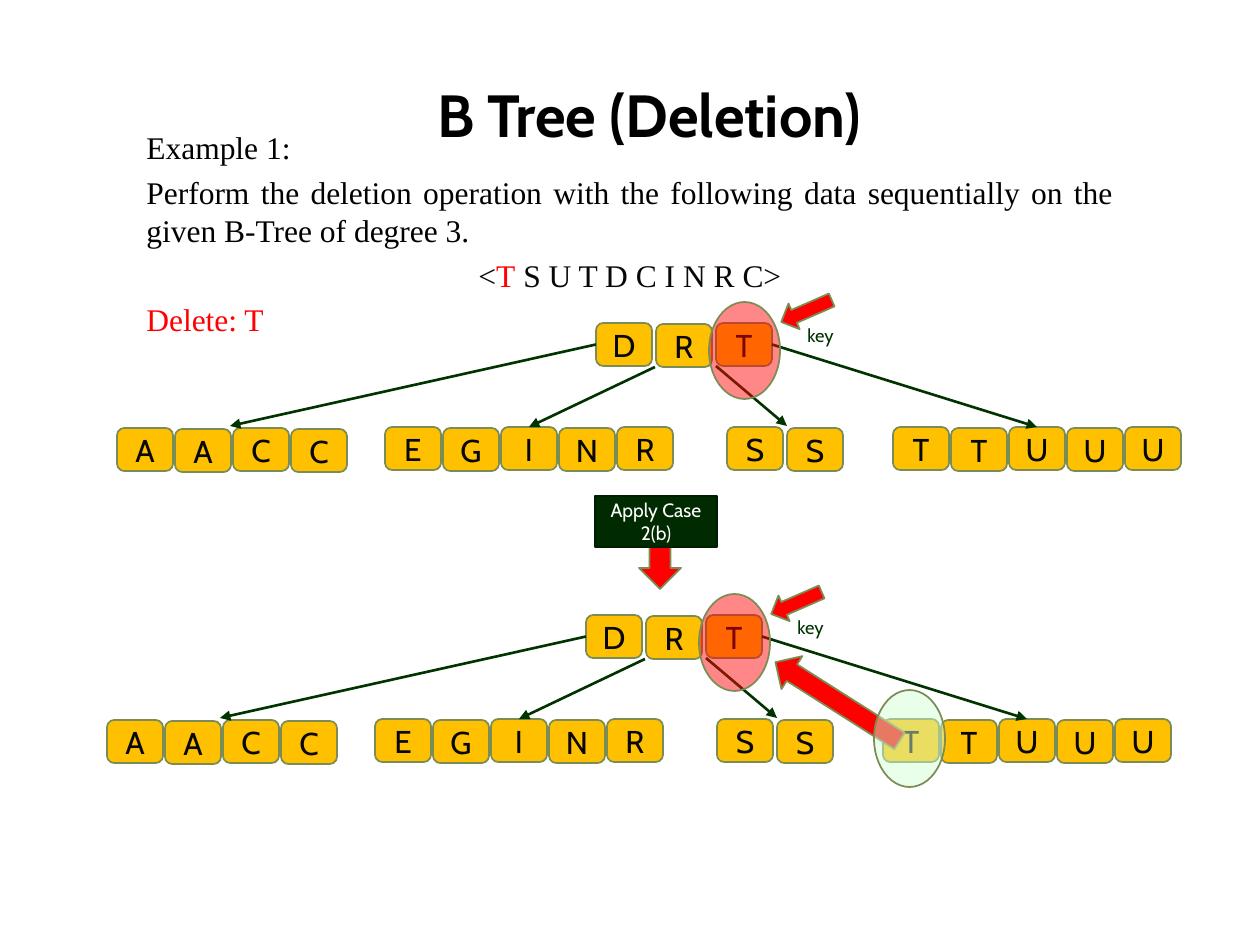
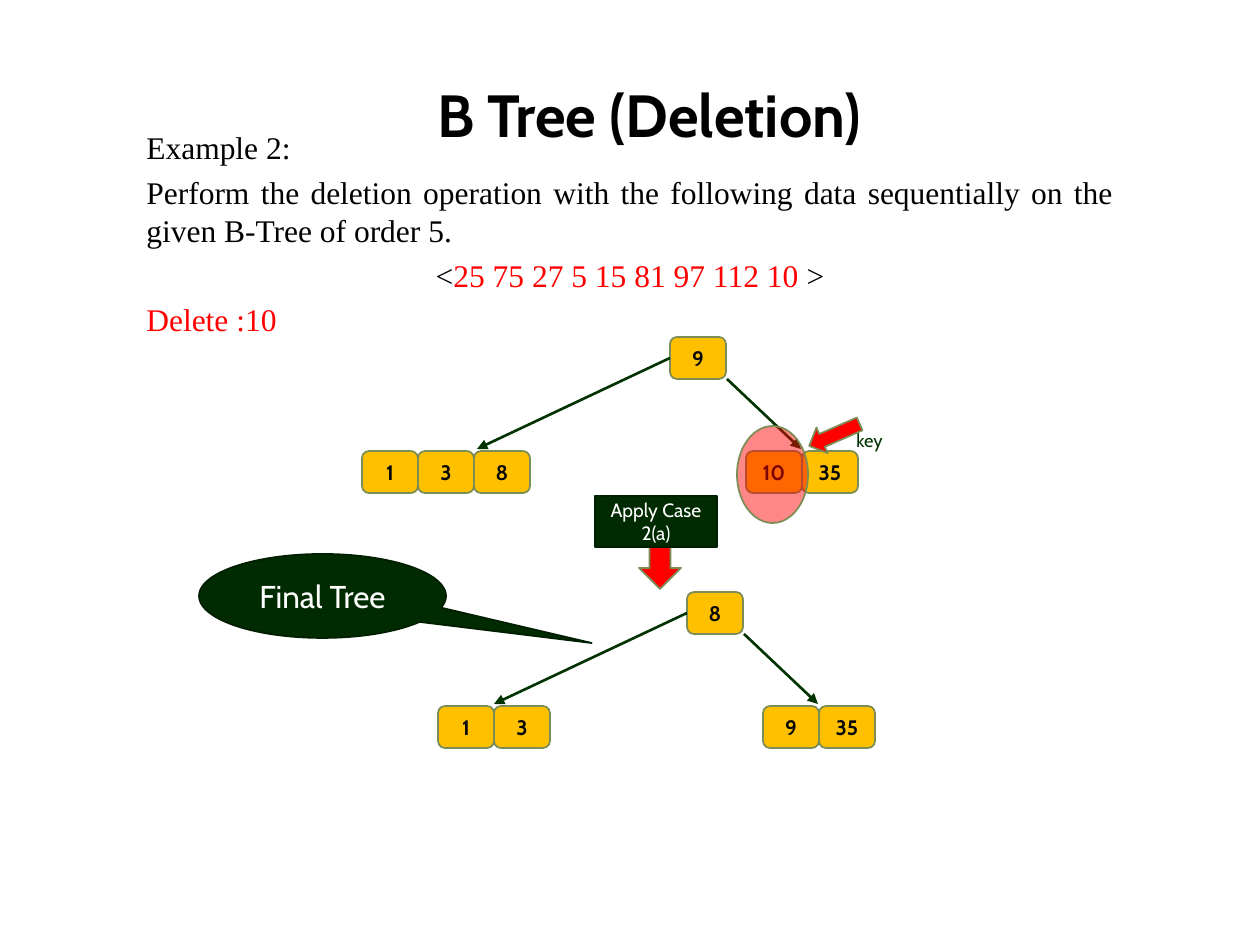
"""Build two slides that walk through key deletion in a B-Tree."""
from lxml import etree
from pptx import Presentation
from pptx.dml.color import RGBColor
from pptx.enum.shapes import MSO_CONNECTOR, MSO_SHAPE as SHAPE
from pptx.enum.text import MSO_ANCHOR as ANCHOR, PP_ALIGN as ALIGN
from pptx.oxml.ns import qn
from pptx.util import Emu, Pt

SCALE = 914400 / 126
BLACK = RGBColor(0x00, 0x00, 0x00)
INK = RGBColor(0x08, 0x08, 0x08)
WHITE = RGBColor(0xFF, 0xFF, 0xFF)
RED = RGBColor(0xFF, 0x00, 0x00)
AMBER = RGBColor(0xFF, 0xC0, 0x00)
OLIVE = RGBColor(0x7B, 0x8D, 0x55)
GREEN = RGBColor(0x00, 0x33, 0x00)
DARK_GREEN = RGBColor(0x00, 0x2A, 0x00)
DEEP_GREEN = RGBColor(0x00, 0x1F, 0x00)
MINT = RGBColor(0xD1, 0xFF, 0xD1)
HEAD_FONT, BODY_FONT = "Cabin", "Times New Roman"
KEY_WIDTH = 56


def px(*lengths):
    return [Emu(round(length * SCALE)) for length in lengths]


def add_block(page, kind, place, fill, line=OLIVE, text="", size=18,
              color=INK, bold=False, turn=0, opacity=100):
    block = page.shapes.add_shape(kind, *px(*place))
    block.shadow.inherit = False
    block.rotation = turn
    block.fill.solid()
    block.fill.fore_color.rgb = fill
    block.line.color.rgb = line
    block.line.width = Pt(1)
    if opacity < 100:
        tint = block._element.spPr.find(".//" + qn("a:srgbClr"))
        etree.SubElement(tint, qn("a:alpha"), val=str(opacity * 1000))
    if text:
        frame = block.text_frame
        frame.word_wrap = True
        frame.vertical_anchor = ANCHOR.MIDDLE
        frame.margin_left, frame.margin_right, frame.margin_top, frame.margin_bottom = px(4, 4, 0, 0)
        para = frame.paragraphs[0]
        para.alignment = ALIGN.CENTER
        span = para.add_run()
        span.text = text
        span.font.name, span.font.size, span.font.bold = HEAD_FONT, Pt(size), bold
        span.font.color.rgb = color
    return block


letter_nodes = [
    (596, 323, 60, "DRT"),
    (117, 428, 58, "AACC"),
    (385, 427, 58, "EGINR"),
    (727, 427, 60, "SS"),
    (893, 427, 58, "TTUUU"),
]
letter_pointers = [
    ((596, 344), (230, 426), (0, 0, 1), None),
    ((655, 367), (529, 427), None, (2, 2, 0)),
    ((716, 366), (787, 426), None, None),
    ((772, 344), (1037, 427), (0, 2, 3), (4, 2, 0)),
]
number_pointers = [
    ((670, 358), (477, 449), (0, 0, 1), None),
    ((727, 379), (801, 449), None, None),
]
number_nodes = [
    (670, 337, 56, ["9"]),
    (362, 451, 56, ["1", "3", "8"]),
    (746, 451, 56, ["10", "35"]),
]
final_nodes = [
    (670, 337, 56, ["8"]),
    (421, 451, 56, ["1", "3"]),
    (746, 451, 56, ["9", "35"]),
]

examples = [
    {
        "name": "Example 1:", "rule": "degree 3",
        "sequence": [("<", INK), ("T", RED), (" S U T D C I N R C>", INK)],
        "delete": "Delete: T", "case": "Apply Case 2(b)",
        "size": 18, "bold": False, "height": 43, "stagger": 1,
        "pointers": letter_pointers,
        "trees": [(0, 0, letter_nodes), (-10, 292, letter_nodes)],
        "marks": [(709, 302, 795, 318), (699, 594, 785, 610)],
    },
    {
        "name": "Example 2:", "rule": "order 5",
        "sequence": [("<", INK), ("25 75 27 5 15 81 97 112 10", RED), (" >", INK)],
        "delete": "Delete :10", "case": "Apply Case 2(a)",
        "size": 12, "bold": True, "height": 42, "stagger": 0,
        "pointers": number_pointers,
        "trees": [(0, 0, number_nodes), (17, 255, final_nodes)],
        "marks": [(737, 426, 844, 423)],
    },
]

deck = Presentation()
deck.slide_width, deck.slide_height = px(1260, 945)
pages = []

for example in examples:
    page = deck.slides.add_slide(deck.slide_layouts[5])
    pages.append(page)

    title = page.shapes.title
    title.left, title.top, title.width, title.height = px(82, 64, 1134, 100)
    title.text_frame.vertical_anchor = ANCHOR.MIDDLE
    para = title.text_frame.paragraphs[0]
    para.alignment = ALIGN.CENTER
    span = para.add_run()
    span.text = "B Tree (Deletion)"
    span.font.name, span.font.size, span.font.bold = HEAD_FONT, Pt(34), True
    span.font.color.rgb = BLACK

    box = page.shapes.add_textbox(*px(134, 122, 992, 234))
    box.text_frame.word_wrap = True
    task = ("Perform the deletion operation with the following data sequentially "
            f"on the given B-Tree of {example['rule']}.")
    lines = [
        (ALIGN.JUSTIFY, [(example["name"], BLACK)]),
        (ALIGN.JUSTIFY, [(task, BLACK)]),
        (ALIGN.CENTER, example["sequence"]),
        (ALIGN.LEFT, [(example["delete"], RED)]),
    ]
    for number, (alignment, spans) in enumerate(lines):
        para = box.text_frame.add_paragraph() if number else box.text_frame.paragraphs[0]
        para.alignment = alignment
        para.space_before = Pt(4 if number else 0)
        for text, color in spans:
            span = para.add_run()
            span.text = text
            span.font.name, span.font.size = BODY_FONT, Pt(18)
            span.font.color.rgb = color

    add_block(page, SHAPE.RIGHT_ARROW, (635, 543, 50, 42), RED, turn=90)
    add_block(page, SHAPE.RECTANGLE, (595, 496, 122, 51), DARK_GREEN, DEEP_GREEN,
              example["case"], 11, WHITE)

    for shift_x, shift_y, nodes in example["trees"]:
        keys = {}
        for node, (left, top, pitch, labels) in enumerate(nodes):
            for position, label in enumerate(labels):
                place = (left + shift_x + position * pitch,
                         top + shift_y + position % 2 * example["stagger"],
                         KEY_WIDTH, example["height"])
                keys[node, position] = add_block(
                    page, SHAPE.ROUNDED_RECTANGLE, place, AMBER, text=label,
                    size=example["size"], bold=example["bold"])

        for start, end, source, target in example["pointers"]:
            pointer = page.shapes.add_connector(
                MSO_CONNECTOR.STRAIGHT,
                *px(start[0] + shift_x, start[1] + shift_y, end[0] + shift_x, end[1] + shift_y))
            if source:
                pointer.begin_connect(keys[source[:2]], source[2])
            if target:
                pointer.end_connect(keys[target[:2]], target[2])
            pointer.line.color.rgb = GREEN
            pointer.line.width = Pt(1.5)
            etree.SubElement(pointer.line._get_or_add_ln(), qn("a:tailEnd"), type="triangle")
            etree.SubElement(pointer._element.spPr, qn("a:effectLst"))

    for left, top, label_left, label_top in example["marks"]:
        add_block(page, SHAPE.OVAL, (left, top, 71, 97), RED, opacity=47)
        add_block(page, SHAPE.LEFT_ARROW, (left + 70, top - 5, 55, 28), RED, turn=336.4)
        box = page.shapes.add_textbox(*px(label_left, label_top, 58, 35))
        box.text_frame.word_wrap = True
        span = box.text_frame.paragraphs[0].add_run()
        span.text = "key"
        span.font.name, span.font.size = HEAD_FONT, Pt(10.5)
        span.font.color.rgb = GREEN

letter_page, number_page = pages
add_block(letter_page, SHAPE.RIGHT_ARROW, (764, 682, 147, 39), RED, turn=212.4)
add_block(letter_page, SHAPE.OVAL, (874, 690, 71, 97), MINT, opacity=47)

callout = add_block(number_page, SHAPE.OVAL_CALLOUT, (199, 554, 247, 84), DARK_GREEN,
                    DEEP_GREEN, "Final Tree", 18, WHITE)
callout.adjustments[0] = 1.09
callout.adjustments[1] = 0.56

deck.save("out.pptx")
